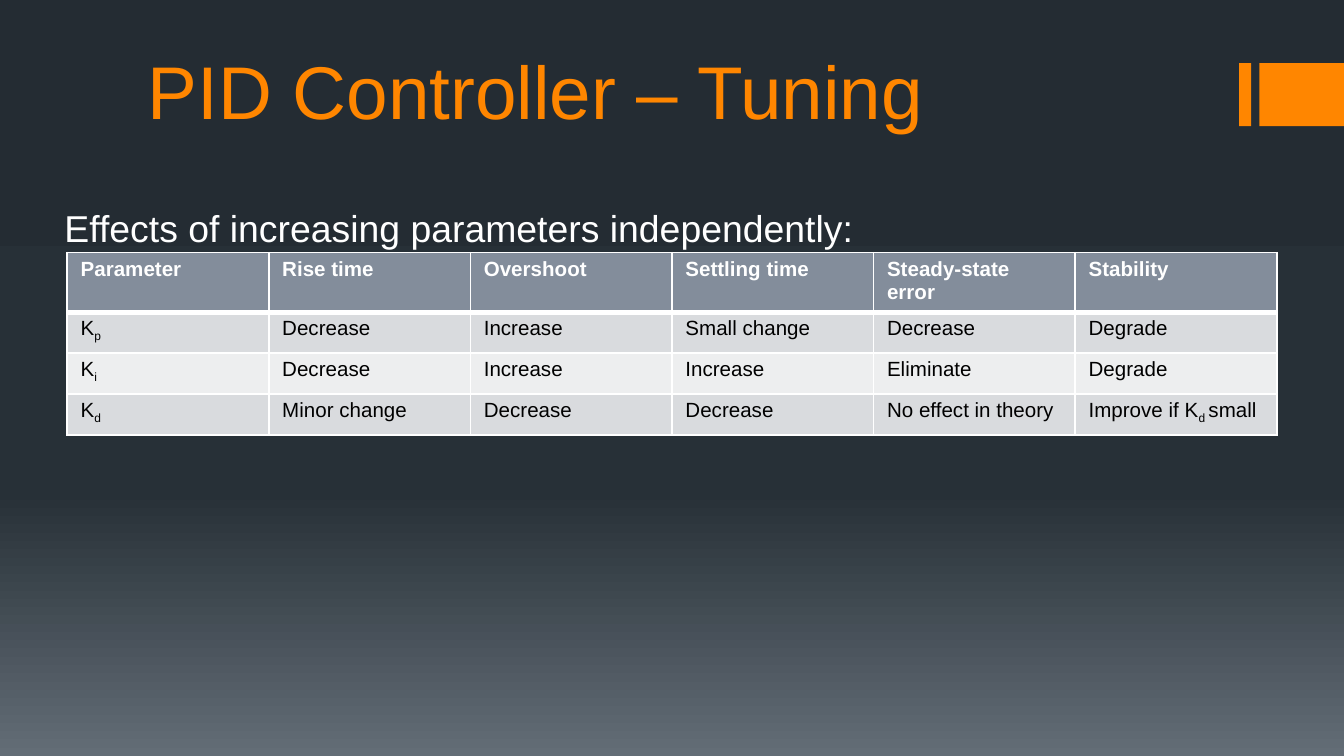
"""Build the PID controller tuning slide."""
import copy
from dataclasses import dataclass

import pptx
import pptx.dml.color
import pptx.enum.shapes
import pptx.enum.text
import pptx.oxml
import pptx.oxml.ns
import pptx.util

Pt = pptx.util.Pt
RGB = pptx.dml.color.RGBColor
ORANGE = RGB(0xFF, 0x86, 0x00)
WHITE = RGB(0xFF, 0xFF, 0xFF)
BLACK = RGB(0x00, 0x00, 0x00)
SLATE = RGB(0x83, 0x8D, 0x9B)
BANDS = [RGB(0xD9, 0xDB, 0xDE), RGB(0xED, 0xEE, 0xEF)]
SKY = [
    (0, RGB(0x24, 0x2C, 0x33)),
    (0.65, RGB(0x27, 0x30, 0x37)),
    (1, RGB(0x63, 0x6D, 0x76)),
]
ROWS = [
    ["Parameter", "Rise time", "Overshoot", "Settling time", "Steady-state error", "Stability"],
    ["K_p", "Decrease", "Increase", "Small change", "Decrease", "Degrade"],
    ["K_i", "Decrease", "Increase", "Increase", "Eliminate", "Degrade"],
    ["K_d", "Minor change", "Decrease", "Decrease", "No effect in theory", "Improve if K_d _small"],
]


@dataclass
class Box:
    """A frame in points."""
    left: float
    top: float
    width: float
    height: float

    def pts(self) -> list:
        """Give the four lengths."""
        return [Pt(self.left), Pt(self.top), Pt(self.width), Pt(self.height)]


TITLE = Box(72, 7.2, 576, 68.4)
BODY = Box(23.76, 106.56, 576, 295.92)
GRID = Box(36, 135.36, 648, 96)
BARS = [Box(663.84, 33.84, 6.48, 33.84), Box(674.64, 33.84, 45.36, 33.84)]


def style(item, form: dict) -> None:
    """Set each format value on the item."""
    for key, value in form.items():
        setattr(item, key, value)


def write(para, text: str, color, **form) -> None:
    """Write runs, with every second part between underscores lowered."""
    for pos, part in enumerate(text.split("_")):
        run = para.add_run()
        run.text = part
        style(run.font, {"name": "Arial", **form})
        run.font.color.rgb = color
        if pos % 2:
            run.font._element.set("baseline", "-25000")


def paint(slide) -> None:
    """Fill the background with the dark gradient."""
    fill = slide.background.fill
    fill.gradient()
    fill.gradient_angle = 270
    stops = slide.element.xpath(".//a:gsLst")[0]
    stops.append(copy.deepcopy(stops[-1]))
    for stop, (place, color) in zip(fill.gradient_stops, SKY):
        stop.position = place
        stop.color.rgb = color


def draw_bar(slide, box: Box) -> None:
    """Draw one orange bar."""
    bar = slide.shapes.add_shape(pptx.enum.shapes.MSO_SHAPE.RECTANGLE, *box.pts())
    bar.shadow.inherit = False
    bar.fill.solid()
    bar.fill.fore_color.rgb = ORANGE
    bar.line.fill.background()


def edge(cell, sides: dict) -> None:
    """Give the cell white borders of the stated widths."""
    props = cell._tc.get_or_add_tcPr()
    for pos, (side, width) in enumerate(sides.items()):
        line = pptx.oxml.parse_xml(
            f'<a:ln{side} {pptx.oxml.ns.nsdecls("a")} w="{Pt(width)}">'
            f'<a:solidFill><a:srgbClr val="{WHITE}"/></a:solidFill></a:ln{side}>'
        )
        props.insert(pos, line)


def draw_grid(slide) -> None:
    """Draw the table of effects."""
    grid = slide.shapes.add_table(len(ROWS), len(ROWS[0]), *GRID.pts()).table
    for col in grid.columns:
        col.width = Pt(GRID.width / len(ROWS[0]))
    for row, texts in enumerate(ROWS):
        head = row == 0
        grid.rows[row].height = Pt(30 if head else 22)
        for col, text in enumerate(texts):
            cell = grid.cell(row, col)
            style(cell, {"margin_left": Pt(7.2), "margin_right": Pt(7.2),
                         "margin_top": Pt(2.7), "margin_bottom": Pt(2.7)})
            cell.fill.solid()
            cell.fill.fore_color.rgb = SLATE if head else BANDS[(row - 1) % 2]
            edge(cell, {"L": 1, "R": 1, "T": 3 if row == 1 else 1, "B": 3 if head else 1})
            write(cell.text_frame.paragraphs[0], text, WHITE if head else BLACK,
                  size=Pt(11), bold=head)


def main() -> None:
    """Build and save the slide."""
    deck = pptx.Presentation()
    style(deck, {"slide_width": Pt(720), "slide_height": Pt(405)})
    slide = deck.slides.add_slide(deck.slide_layouts[5])
    paint(slide)
    for bar in BARS:
        draw_bar(slide, bar)

    title = slide.shapes.title
    style(title, dict(zip(("left", "top", "width", "height"), TITLE.pts())))
    style(title.text_frame, {"vertical_anchor": pptx.enum.text.MSO_ANCHOR.BOTTOM,
                             "word_wrap": True})
    para = title.text_frame.paragraphs[0]
    para.alignment = pptx.enum.text.PP_ALIGN.LEFT
    write(para, "PID Controller – Tuning", ORANGE, size=Pt(40))

    body = slide.shapes.add_textbox(*BODY.pts()).text_frame
    style(body, {"word_wrap": True, "margin_left": Pt(10.8)})
    para = body.paragraphs[0]
    para.space_before = Pt(2)
    write(para, "Effects of increasing parameters independently:", WHITE, size=Pt(20))

    draw_grid(slide)
    deck.save("out.pptx")


if __name__ == "__main__":
    main()
